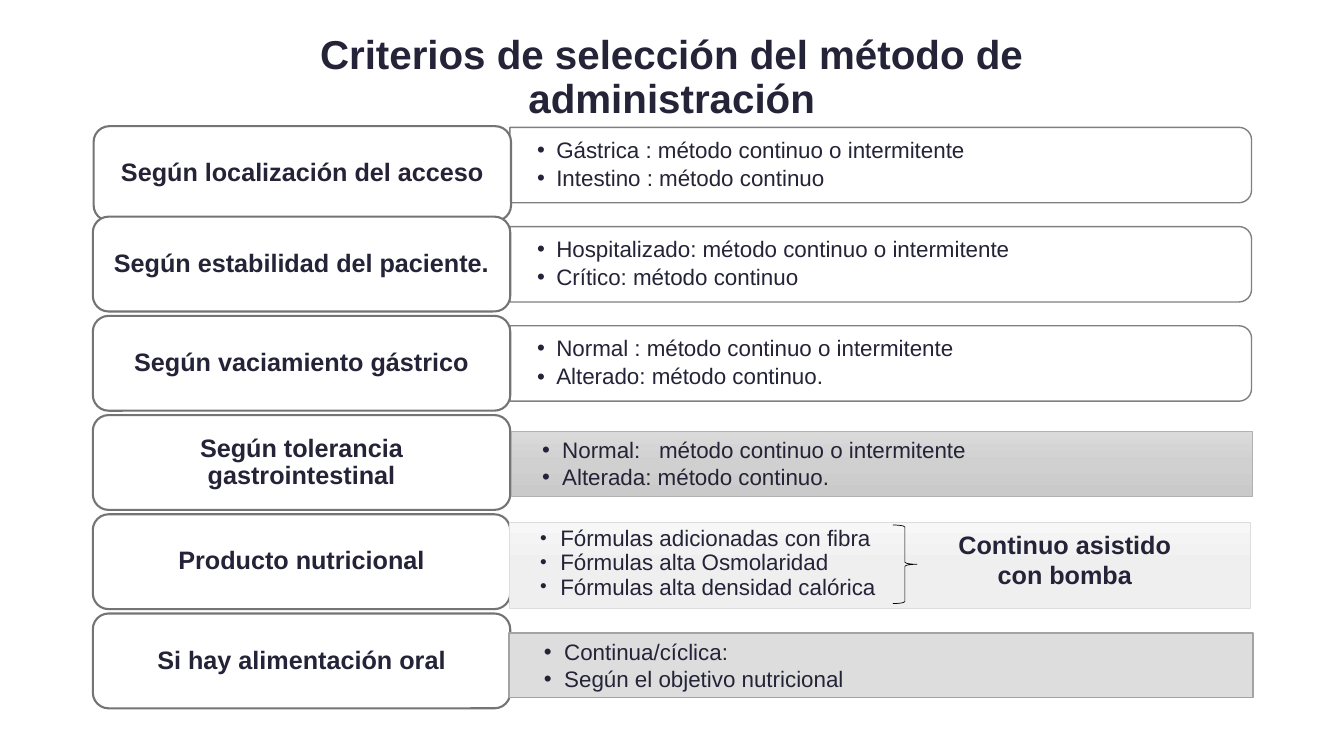
from dataclasses import dataclass
from lxml.etree import SubElement
from copy import deepcopy
from pptx import Presentation
from pptx.dml.color import RGBColor
from pptx.enum.shapes import MSO_SHAPE
from pptx.enum.text import MSO_ANCHOR, PP_ALIGN
from pptx.oxml.ns import qn
from pptx.shapes.autoshape import Shape
from pptx.util import Cm, Pt


@dataclass(frozen=True)
class Theme:
    font: str = "Arial"
    ink: str = "242337"
    white: str = "FFFFFF"
    black: str = "000000"
    edge: str = "747474"
    rim: str = "808080"
    head: float = 28.8
    label: float = 18
    body: float = 16


@dataclass(frozen=True)
class Box:
    left: float
    top: float
    wide: float
    high: float


@dataclass(frozen=True)
class Style:
    size: float
    bold: bool = False
    space: float = 1.0
    after: float = 0
    left: float = 0
    hang: float = 0
    dot: int = 100
    tab: float = 0


@dataclass(frozen=True)
class Row:
    label: str
    lines: tuple[str, ...] = ()


@dataclass(frozen=True)
class Bar:
    box: Box
    fills: tuple[str, ...]
    edge: str
    width: float
    style: Style
    lines: tuple[str, ...]


THEME = Theme()
PITCH = 2.5
HEAD = Style(THEME.head, bold=True, space=0.9)
LABEL = Style(THEME.label, bold=True, space=0.9)
NOTE = Style(THEME.label, bold=True)
POINT = Style(THEME.body, space=0.9, after=2.8, left=0.48, hang=0.48)

ROWS = (
    Row("Según localización del acceso",
        ("Gástrica : método continuo o intermitente", "Intestino : método continuo")),
    Row("Según estabilidad del paciente.",
        ("Hospitalizado: método continuo o intermitente", "Crítico: método continuo")),
    Row("Según vaciamiento gástrico",
        ("Normal : método continuo o intermitente", "Alterado: método continuo.")),
    Row("Según tolerancia gastrointestinal"),
    Row("Producto nutricional"),
    Row("Si hay alimentación oral"),
)

BARS = (
    Bar(Box(12.88, 10.87, 18.67, 1.63), ("DADADA", "D0D0D0", "CACACA"), "B2B2B2", 0.5,
        Style(THEME.body, left=1.04, hang=0.51, tab=3.48),
        ("Normal:\tmétodo continuo o intermitente", "Alterada: método continuo.")),
    Bar(Box(12.83, 13.16, 18.67, 2.18), ("F7F7F7", "EFEFEF", "EDEDED"), "DDDDDD", 0.5,
        Style(THEME.body, space=0.9, left=1.04, hang=0.51, dot=85),
        ("Fórmulas adicionadas con fibra", "Fórmulas alta Osmolaridad",
         "Fórmulas alta densidad calórica")),
    Bar(Box(12.83, 15.95, 18.75, 1.63), ("DDDDDD",), "A3A3A3", 1,
        Style(THEME.body, left=1.14, hang=0.51),
        ("Continua/cíclica:", "Según el objetivo nutricional")),
)


def place(box: Box) -> tuple[Cm, Cm, Cm, Cm]:
    return Cm(box.left), Cm(box.top), Cm(box.wide), Cm(box.high)


def shade(shape: Shape, fills: tuple[str, ...]) -> None:
    if not fills:
        shape.fill.background()
    elif len(fills) == 1:
        shape.fill.solid()
        shape.fill.fore_color.rgb = RGBColor.from_string(fills[0])
    else:
        shape.fill.gradient()
        shape.fill.gradient_angle = 270
        stops = shape.fill.gradient_stops
        first = shape.element.find(".//" + qn("a:gs"))
        first.addnext(deepcopy(first))
        stops = shape.fill.gradient_stops
        for i, tint in enumerate(fills):
            stops[i].position = i / (len(fills) - 1)
            stops[i].color.rgb = RGBColor.from_string(tint)


def draw(slide, kind: MSO_SHAPE, box: Box, fills: tuple[str, ...],
         edge: str, width: float) -> Shape:
    shape = slide.shapes.add_shape(kind, *place(box))
    shape.shadow.inherit = False
    shade(shape, fills)
    shape.line.color.rgb = RGBColor.from_string(edge)
    shape.line.width = Pt(width)
    return shape


def write(shape: Shape, lines: tuple[str, ...], style: Style,
          pad: tuple[float, float] = (0.25, 0.13),
          anchor: MSO_ANCHOR = MSO_ANCHOR.TOP) -> None:
    frame = shape.text_frame
    frame.word_wrap = True
    frame.vertical_anchor = anchor
    frame.margin_left = frame.margin_right = Cm(pad[0])
    frame.margin_top = frame.margin_bottom = Cm(pad[1])
    for i, line in enumerate(lines):
        para = frame.add_paragraph() if i else frame.paragraphs[0]
        para.alignment = PP_ALIGN.LEFT if style.hang else PP_ALIGN.CENTER
        para.line_spacing = style.space
        para.space_after = Pt(style.after)
        if style.hang:
            props = para._p.get_or_add_pPr()
            props.set("marL", str(Cm(style.left)))
            props.set("indent", str(-Cm(style.hang)))
            SubElement(props, qn("a:buSzPct"), val=str(style.dot * 1000))
            SubElement(props, qn("a:buFont"), typeface=THEME.font)
            SubElement(props, qn("a:buChar"), char="•")
            if style.tab:
                tabs = SubElement(props, qn("a:tabLst"))
                SubElement(tabs, qn("a:tab"), pos=str(Cm(style.tab)), algn="l")
        run = para.add_run()
        run.text = line
        run.font.name = THEME.font
        run.font.size = Pt(style.size)
        run.font.bold = style.bold
        run.font.color.rgb = RGBColor.from_string(THEME.ink)


def add_text(slide, box: Box, lines: tuple[str, ...], style: Style,
             pad: tuple[float, float] = (0.25, 0.13),
             anchor: MSO_ANCHOR = MSO_ANCHOR.TOP) -> None:
    write(slide.shapes.add_textbox(*place(box)), lines, style, pad, anchor)


def add_row(slide, i: int, row: Row) -> None:
    if row.lines:
        top = 3.21 + PITCH * i
        wide, high = 18.69, 1.9
        turned = Box(12.85 + (wide - high) / 2, top + (high - wide) / 2, high, wide)
        panel = draw(slide, MSO_SHAPE.ROUND_2_SAME_RECTANGLE, turned,
                     (THEME.white,), THEME.rim, 1)
        panel.rotation = 90
        add_text(slide, Box(12.85, top + 0.09, 18.59, 1.73), row.lines, POINT,
                 (0.69, 0.36), MSO_ANCHOR.MIDDLE)
    box = Box(2.34, 2.96 + PITCH * i, 10.52, 2.39) if i else Box(2.36, 3.18, 10.52, 2.39)
    tag = draw(slide, MSO_SHAPE.ROUNDED_RECTANGLE, box, (THEME.white,), THEME.edge, 1.5)
    write(tag, (row.label,), LABEL, (0.18, 0.1), MSO_ANCHOR.MIDDLE)


def main() -> None:
    deck = Presentation()
    deck.slide_width, deck.slide_height = Cm(33.87), Cm(19.05)
    slide = deck.slides.add_slide(deck.slide_layouts[6])
    add_text(slide, Box(6.73, 1.22, 20.4, 1.52),
             ("Criterios de selección del método de administración",), HEAD,
             anchor=MSO_ANCHOR.MIDDLE)
    for i, row in enumerate(ROWS):
        add_row(slide, i, row)
    for bar in BARS:
        shape = draw(slide, MSO_SHAPE.RECTANGLE, bar.box, bar.fills, bar.edge, bar.width)
        write(shape, bar.lines, bar.style)
    draw(slide, MSO_SHAPE.RIGHT_BRACE, Box(22.5, 13.23, 0.61, 1.98), (), THEME.black, 0.5)
    add_text(slide, Box(23.42, 13.21, 6.83, 1.8), ("Continuo asistido con bomba",), NOTE)
    deck.save("out.pptx")


if __name__ == "__main__":
    main()
